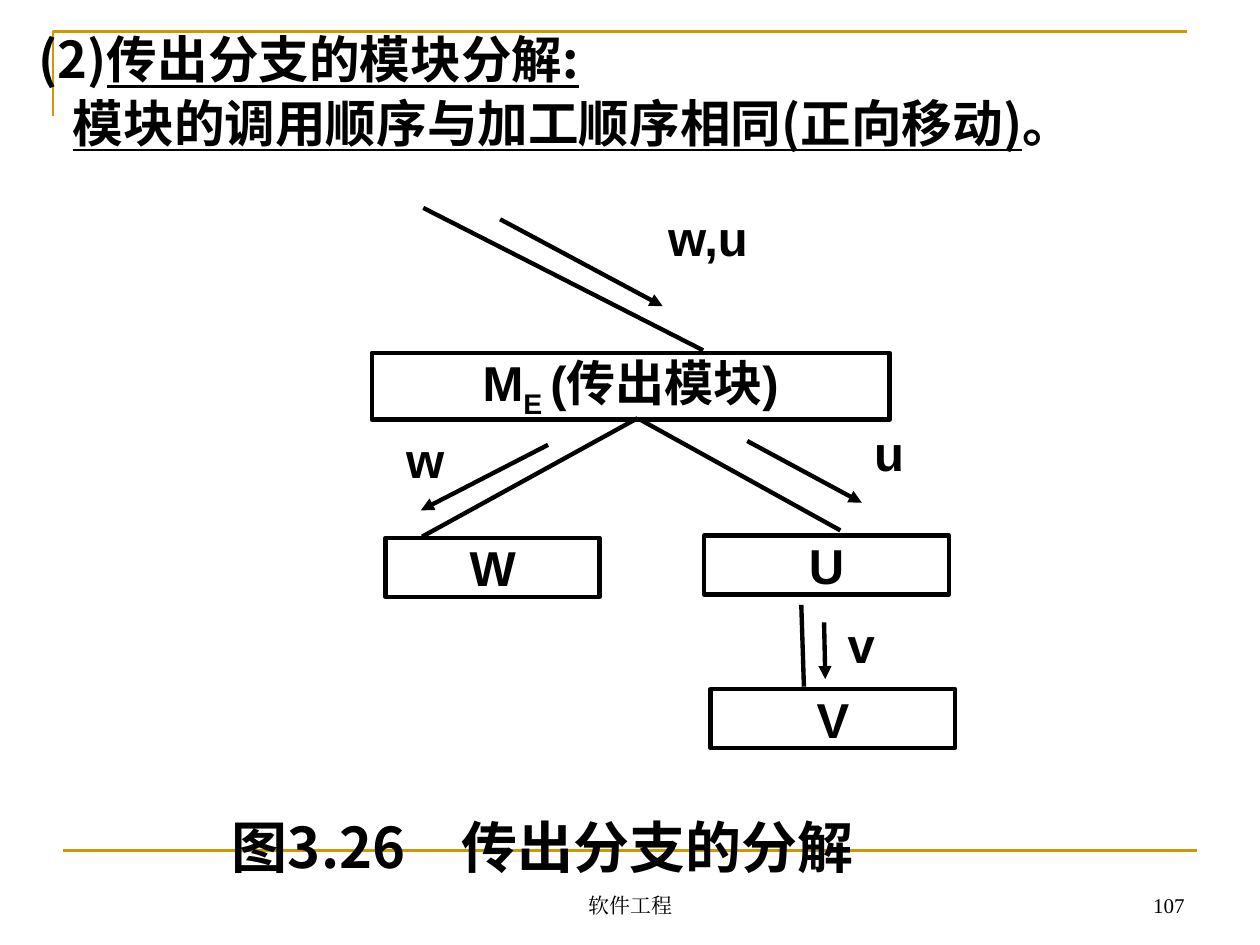
from pptx import Presentation
from pptx.dml.color import RGBColor as RGB
from pptx.enum.shapes import MSO_CONNECTOR as CONN, MSO_SHAPE as SHAPE
from pptx.enum.text import MSO_ANCHOR as ANCHOR, PP_ALIGN as ALIGN
from pptx.oxml.ns import qn
from pptx.util import Pt
from lxml import etree

COLORS = {"ink": "000000", "gold": "CC9900"}
CJK, LATIN, SERIF = "Noto Sans CJK SC", "Arial", "Times New Roman"

prs = Presentation()
prs.slide_width, prs.slide_height = Pt(720), Pt(540)
s = prs.slides.add_slide(prs.slide_layouts[6])


def add_frame(x, y, w, h, inset=(0, 0), anchor=ANCHOR.TOP, outlined=False):
    """Add a text box or an outlined rectangle and return its text frame."""
    box = tuple(Pt(v) for v in (x, y, w, h))
    if outlined:
        sp = s.shapes.add_shape(SHAPE.RECTANGLE, *box)
        sp.shadow.inherit = False
        sp.fill.background()
        sp.line.color.rgb = RGB.from_string(COLORS["ink"])
        sp.line.width = Pt(2.5)
    else:
        sp = s.shapes.add_textbox(*box)
    tf = sp.text_frame
    tf.word_wrap = True
    tf.vertical_anchor = anchor
    tf.margin_left = tf.margin_right = Pt(inset[0])
    tf.margin_top = tf.margin_bottom = Pt(inset[1])
    return tf


def add_run(p, text, size=28, font=LATIN, bold=True, underline=False,
            baseline=0, align=ALIGN.CENTER):
    p.alignment = align
    r = p.add_run()
    r.text = text
    r.font.size, r.font.bold, r.font.underline = Pt(size), bold, underline
    r.font.color.rgb = RGB.from_string(COLORS["ink"])
    r.font.name = font
    rPr = r.font._element
    etree.SubElement(rPr, qn("a:ea")).set("typeface", font)
    if baseline:
        rPr.set("baseline", str(baseline * 1000))


# Gold corner rule
fb = s.shapes.build_freeform(Pt(30.24), Pt(66.24))
fb.add_line_segments([(Pt(30.24), Pt(18)), (Pt(678.24), Pt(18))], close=False)
corner = fb.convert_to_shape()
corner.shadow.inherit = False
corner.fill.background()
corner.line.color.rgb = RGB.from_string(COLORS["gold"])
corner.line.width = Pt(1.5)

# Footer rule, tree branches and data-flow arrows: ends, colour, width, arrow
branches = [
    (241.2, 306.7, 364.3, 239), (457.9, 345.6, 459.4, 392.4),
    (365.8, 239.8, 480.2, 303.1), (241.9, 118.8, 401.8, 200.2),
]
flows = [
    (285.8, 125.3, 378.7, 175), (313.2, 254.2, 240.5, 291.6),
    (470.9, 355.7, 471.6, 388.1), (427, 252, 492.5, 287.3),
]
lines = [((36, 486, 684, 486), "gold", 1.5, False)]
lines += [(ends, "ink", 2.5, False) for ends in branches]
lines += [(ends, "ink", 2.5, True) for ends in flows]
for ends, color, width, arrow in lines:
    cx = s.shapes.add_connector(CONN.STRAIGHT, *(Pt(v) for v in ends))
    cx.line.color.rgb = RGB.from_string(COLORS[color])
    cx.line.width = Pt(width)
    if arrow:
        ln = cx.line._get_or_add_ln()
        etree.SubElement(ln, qn("a:tailEnd")).set("type", "triangle")
    etree.SubElement(cx._element.spPr, qn("a:effectLst"))

# Heading: each line is its left margin, first-line indent and runs
heading = [
    (27, -27, [("(2)", False), ("传出分支的模块分解:", True)]),
    (27, -7.5, [("模块的调用顺序与加工顺序相同(正向移动)", True), ("。", False)]),
]
tf = add_frame(15.1, 19.4, 683.3, 103, inset=(7.2, 3.6))
for i, (margin, indent, runs) in enumerate(heading):
    p = tf.add_paragraph() if i else tf.paragraphs[0]
    p.line_spacing = 0.8
    if i:
        p.space_before = Pt(8.5)
    pPr = p._p.get_or_add_pPr()
    pPr.set("marL", str(Pt(margin)))
    pPr.set("indent", str(Pt(indent)))
    for text, underline in runs:
        add_run(p, text, size=28.9, font=CJK, underline=underline,
                align=ALIGN.LEFT)

# Root module, with a subscript in its name
p = add_frame(212.4, 201.6, 295.9, 38.2, outlined=True).paragraphs[0]
add_run(p, "M")
add_run(p, "E ", baseline=-25)
add_run(p, "(传出模块)")

# Child modules and data-flow labels
for text, x, y, w, outlined in [
    ("W", 220.3, 307.4, 122.4, True),
    ("U", 402.5, 306, 139.7, True),
    ("V", 406.1, 393.8, 139.7, True),
    ("w,u", 357.8, 118.8, 93.6, False),
    ("w", 226.8, 245.5, 32.4, False),
    ("u", 491.8, 241.2, 32.4, False),
    ("v", 450.7, 351.4, 82.8, False),
]:
    tf = add_frame(x, y, w, 33.8, outlined=outlined)
    add_run(tf.paragraphs[0], text)

# Caption
tf = add_frame(126.7, 461.5, 431.3, 44.6, inset=(5.8, 2.9))
add_run(tf.paragraphs[0], "图3.26　传出分支的分解", size=32, font=CJK,
        align=ALIGN.LEFT)

# Footer
for text, x, w, align in [
    ("软件工程", 246.2, 228.2, ALIGN.CENTER),
    ("107", 516.2, 167.8, ALIGN.RIGHT),
]:
    tf = add_frame(x, 491.8, w, 36, inset=(7.2, 3.6), anchor=ANCHOR.BOTTOM)
    add_run(tf.paragraphs[0], text, size=12, font=SERIF, bold=False,
            align=align)

prs.save("out.pptx")
